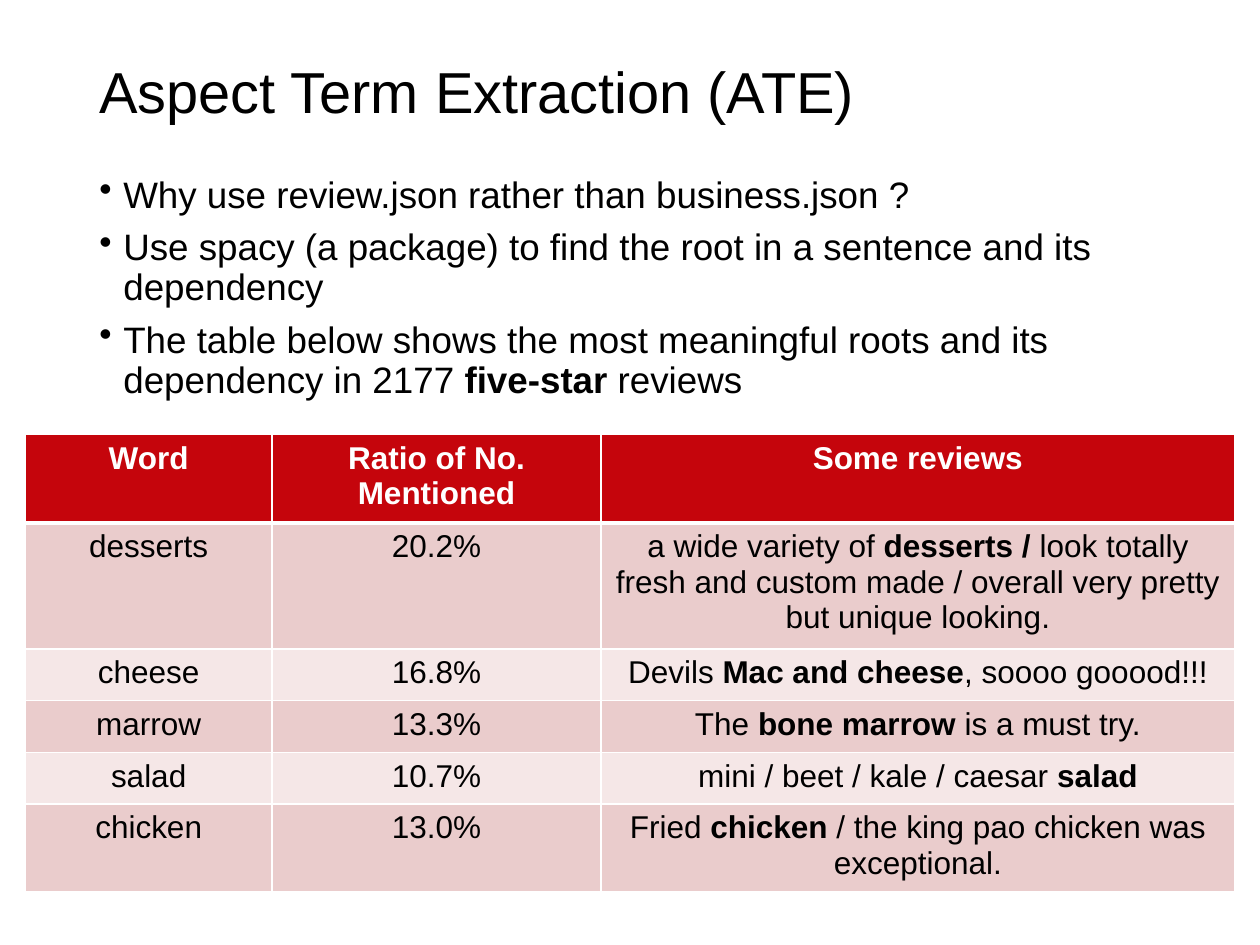
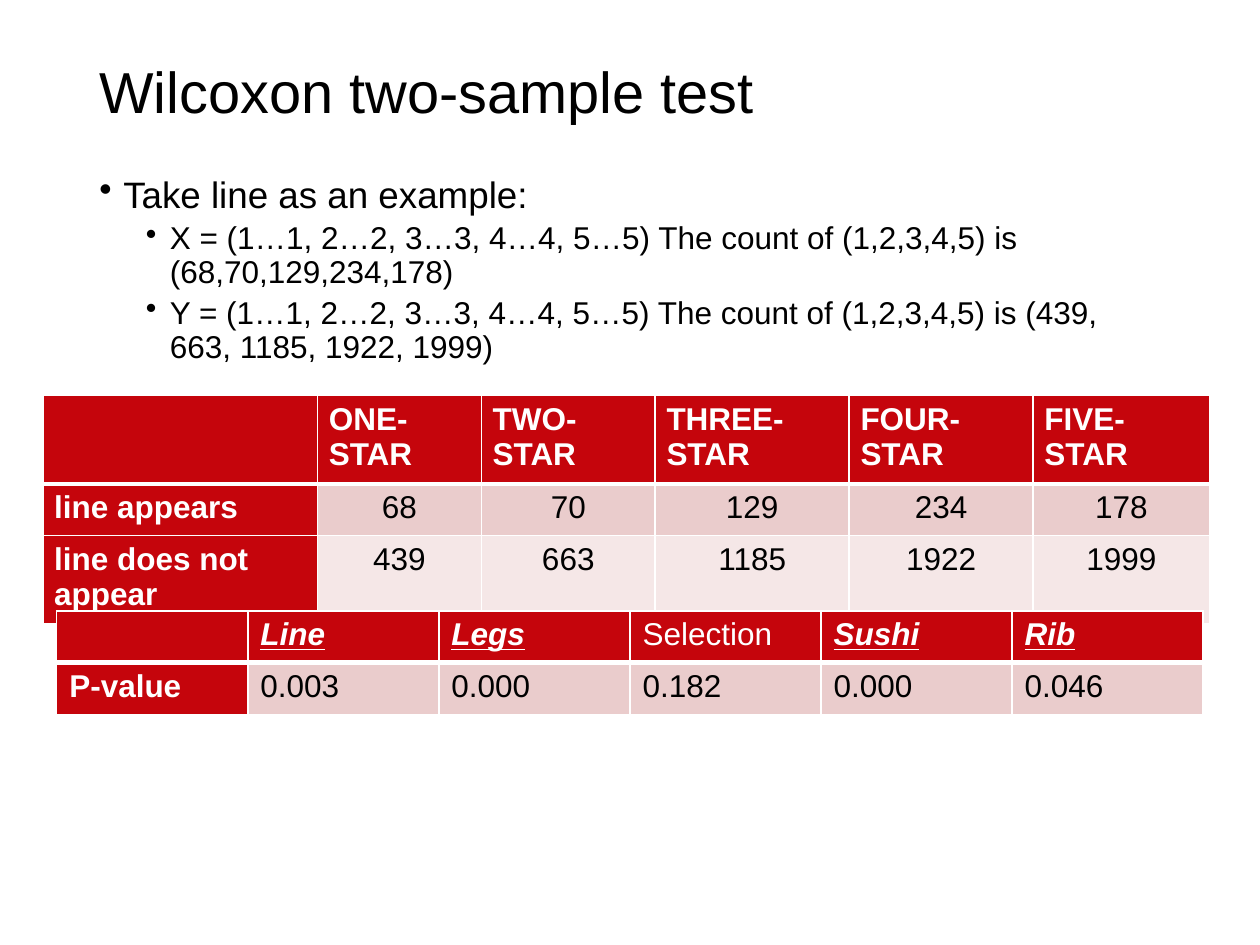
from lxml import etree
from pptx import Presentation
from pptx.dml.color import RGBColor
from pptx.enum.text import MSO_ANCHOR, PP_ALIGN
from pptx.oxml.ns import qn
from pptx.util import Inches, Pt

LEFT, CENTER = PP_ALIGN.LEFT, PP_ALIGN.CENTER
TOP, MIDDLE = MSO_ANCHOR.TOP, MSO_ANCHOR.MIDDLE

# Theme and shared layout, lengths in inches
THEME = {
    "font": "Arial",
    "ink": "000000", "paper": "FFFFFF", "head": "C5050C",
    "bands": ("EACCCC", "F5E7E7"),
    "title": 33, "levels": (21, 18), "cell": 18,
    "space": (7.5, 3.8), "line_spacing": 0.9,
    "rule": 1, "head_rule": 3,
}
WIDTH, HEIGHT = 10, 7.5
TITLE_BOX = (0.69, 0.39, 8.62, 0.73)
BODY_BOX = (0.69, 1.35, 8.62, 5.39)
HANG, LEVEL_STEP = 0.19, 0.37
ROW_HEIGHT = 0.41

# Content: text between asterisks is emphasised, bullets are (level, text)
ASPECT_BULLETS = [
    (0, "Why use review.json rather than business.json ?"),
    (0, "Use spacy (a package) to find the root in a sentence and its dependency"),
    (0, "The table below shows the most meaningful roots and its dependency "
        "in 2177 *five-star* reviews"),
]
ASPECT_TABLE = {
    "at": (0.2, 3.45), "columns": (1.96, 2.61, 5.03),
    "head_align": CENTER, "value_align": CENTER,
    "rows": [
        ("*Word*", "*Ratio of No. Mentioned*", "*Some reviews*"),
        ("desserts", "20.2%", "a wide variety of *desserts /* look totally fresh and "
                              "custom made / overall very pretty but unique looking."),
        ("cheese", "16.8%", "Devils *Mac and cheese*, soooo gooood!!!"),
        ("marrow", "13.3%", "The *bone marrow* is a must try."),
        ("salad", "10.7%", "mini / beet / kale / caesar *salad*"),
        ("chicken", "13.0%", "Fried *chicken* / the king pao chicken was exceptional."),
    ],
}
WILCOXON_BULLETS = [
    (0, "Take line as an example:"),
    (1, "X = (1…1, 2…2, 3…3, 4…4, 5…5) The count of (1,2,3,4,5) is (68,70,129,234,178)"),
    (1, "Y = (1…1, 2…2, 3…3, 4…4, 5…5) The count of (1,2,3,4,5) is "
        "(439, 663, 1185, 1922, 1999)"),
]
STAR_TABLE = {
    "at": (0.34, 3.14), "columns": (2.18, 1.3, 1.38, 1.54, 1.46, 1.4),
    "head_align": LEFT, "value_align": CENTER, "row_heads": True, "margin": 0.09,
    "rows": [
        ("", "*ONE-STAR*", "*TWO-STAR*", "*THREE-STAR*", "*FOUR-STAR*", "*FIVE-STAR*"),
        ("*line appears*", "68", "70", "129", "234", "178"),
        ("*line does not appear*", "439", "663", "1185", "1922", "1999"),
    ],
}
P_VALUE_TABLE = {
    "at": (0.45, 4.85), "columns": (9.1 / 6,) * 6,
    "head_align": LEFT, "value_align": LEFT, "row_heads": True,
    "head_emphasis": ("bold", "italic", "underline"),
    "rows": [
        ("", "*Line*", "*Legs*", "Selection", "*Sushi*", "*Rib*"),
        ("*P-value*", "0.003", "0.000", "0.182", "0.000", "0.046"),
    ],
}
SLIDES = [
    ("Aspect Term Extraction (ATE)", ASPECT_BULLETS, [ASPECT_TABLE]),
    ("Wilcoxon two-sample test", WILCOXON_BULLETS, [STAR_TABLE, P_VALUE_TABLE]),
]


# Text
def write(p, text, size, color, emphasis=("bold",)):
    p.font.name = THEME["font"]
    p.font.size = Pt(size)
    p.font.color.rgb = RGBColor.from_string(color)
    for i, part in enumerate(text.split("*")):
        if part:
            r = p.add_run()
            r.text = part
            if i % 2:
                for name in emphasis:
                    setattr(r.font, name, True)


def add_box(slide, box, anchor):
    tf = slide.shapes.add_textbox(*map(Inches, box)).text_frame
    tf.word_wrap = True
    tf.vertical_anchor = anchor
    return tf


def add_title(slide, text):
    p = add_box(slide, TITLE_BOX, MIDDLE).paragraphs[0]
    p.line_spacing = THEME["line_spacing"]
    write(p, text, THEME["title"], THEME["ink"])


def add_bullets(slide, bullets):
    tf = add_box(slide, BODY_BOX, TOP)
    for i, (level, text) in enumerate(bullets):
        p = tf.add_paragraph() if i else tf.paragraphs[0]
        p.level = level
        p.line_spacing = THEME["line_spacing"]
        p.space_before = Pt(THEME["space"][level])
        write(p, text, THEME["levels"][level], THEME["ink"])
        pPr = p._p.get_or_add_pPr()
        pPr.set("marL", str(Inches(HANG + level * LEVEL_STEP)))
        pPr.set("indent", str(-Inches(HANG)))
        bullet = etree.Element(qn("a:buChar"), char="•")
        pPr.find(qn("a:defRPr")).addprevious(bullet)


# Tables
def set_borders(cell, top, bottom):
    tcPr = cell._tc.get_or_add_tcPr()
    sides = {"L": THEME["rule"], "R": THEME["rule"], "T": top, "B": bottom}
    for i, (side, width) in enumerate(sides.items()):
        ln = etree.Element(qn(f"a:ln{side}"), w=str(Pt(width)))
        fill = etree.SubElement(ln, qn("a:solidFill"))
        etree.SubElement(fill, qn("a:srgbClr"), val=THEME["paper"])
        tcPr.insert(i, ln)


def add_table(slide, data):
    rows, columns = data["rows"], data["columns"]
    size = (sum(columns), ROW_HEIGHT * len(rows))
    table = slide.shapes.add_table(
        len(rows), len(columns), *map(Inches, data["at"] + size)).table
    table.first_row = table.horz_banding = False
    for column, width in zip(table.columns, columns):
        column.width = Inches(width)
    for i, row in enumerate(rows):
        for j, text in enumerate(row):
            cell = table.cell(i, j)
            is_head = i == 0 or (j == 0 and data.get("row_heads", False))
            color = THEME["head"] if is_head else THEME["bands"][(i - 1) % 2]
            cell.fill.solid()
            cell.fill.fore_color.rgb = RGBColor.from_string(color)
            cell.margin_left = cell.margin_right = Inches(data.get("margin", 0.1))
            set_borders(cell, THEME["head_rule" if i == 1 else "rule"],
                        THEME["head_rule" if i == 0 else "rule"])
            p = cell.text_frame.paragraphs[0]
            p.alignment = data["head_align" if is_head else "value_align"]
            emphasis = data.get("head_emphasis", ("bold",)) if i == 0 else ("bold",)
            write(p, text, THEME["cell"], THEME["paper" if is_head else "ink"], emphasis)


def main():
    prs = Presentation()
    prs.slide_width, prs.slide_height = Inches(WIDTH), Inches(HEIGHT)
    for title, bullets, tables in SLIDES:
        slide = prs.slides.add_slide(prs.slide_layouts[6])
        add_title(slide, title)
        add_bullets(slide, bullets)
        for data in tables:
            add_table(slide, data)
    prs.save("out.pptx")


if __name__ == "__main__":
    main()
